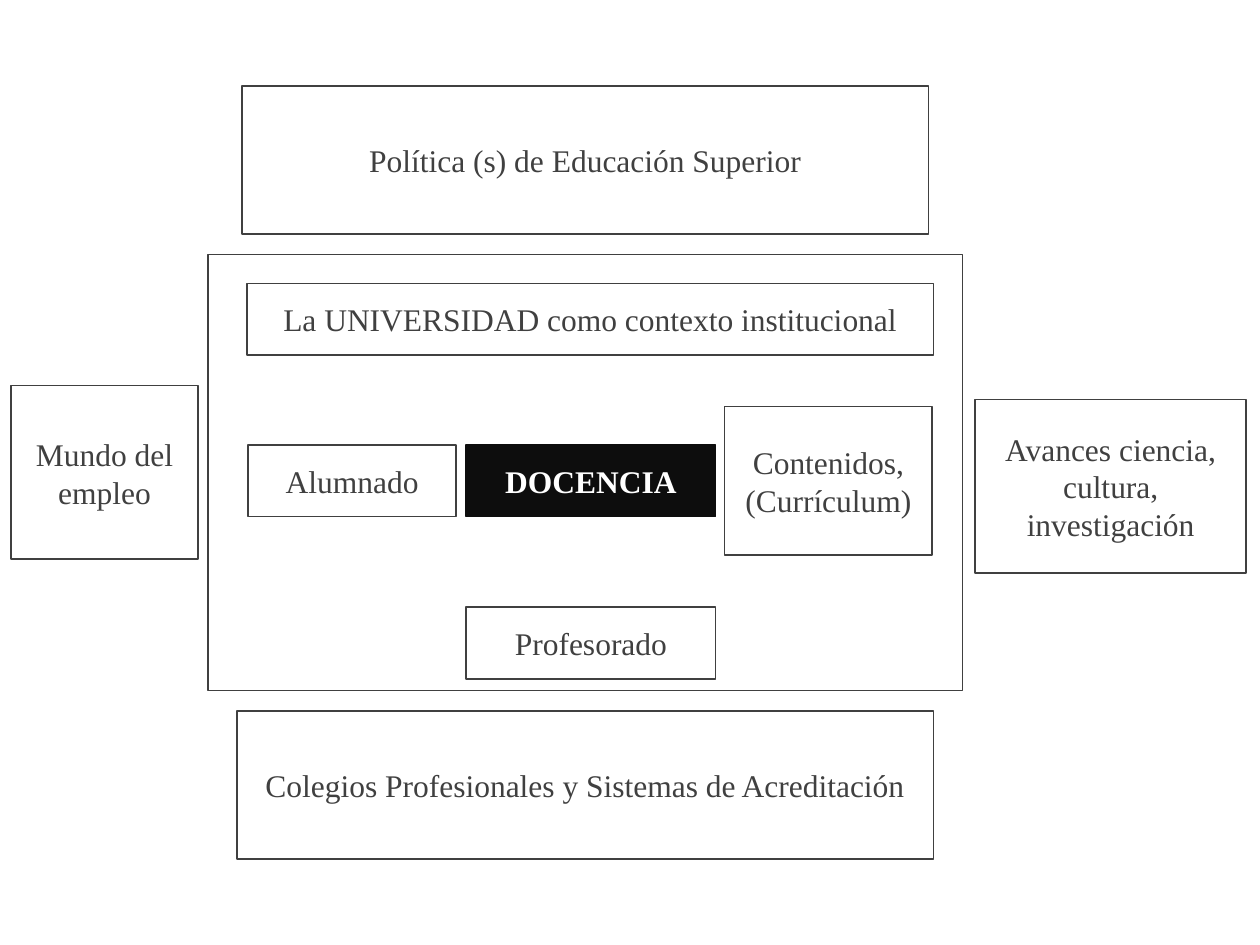
"""Builds a slide that maps the contexts surrounding university teaching."""
from dataclasses import dataclass

import pptx
import pptx.dml.color
import pptx.enum.shapes
import pptx.enum.text
import pptx.shapes.autoshape
import pptx.slide
import pptx.util

SLIDE_WIDTH, SLIDE_HEIGHT = pptx.util.Inches(10), pptx.util.Inches(7.5)
COLUMN, ROW = SLIDE_WIDTH / 100, SLIDE_HEIGHT / 75


@dataclass(frozen=True)
class Theme:
    font: str = "Times New Roman"
    text_size: float = 18
    line_width: float = 1
    ink: str = "404040"
    focus: str = "0D0D0D"
    focus_ink: str = "FFFFFF"


@dataclass(frozen=True)
class Context:
    label: str
    column: float
    row: float
    columns: float
    rows: float
    focus: bool = False


THEME = Theme()
BAND, BLOCK, SIDE = 5.7, 11.8, 13.8
CENTRE, CENTRE_WIDTH = 37, 19.8
AGENT_ROW, AGENT_WIDTH = 35.3, 16.5
HEADING_WIDTH = 54.5

CONTEXTS = (
    Context("La UNIVERSIDAD como contexto institucional", 19.6, 22.5, HEADING_WIDTH, BAND),
    Context("Profesorado", CENTRE, 48.2, CENTRE_WIDTH, BAND),
    Context("DOCENCIA", CENTRE, AGENT_ROW, CENTRE_WIDTH, BAND, focus=True),
    Context("Contenidos,\n(Currículum)", 57.5, AGENT_ROW + (BAND - BLOCK) / 2, AGENT_WIDTH, BLOCK),
    Context("Alumnado", 19.7, AGENT_ROW, AGENT_WIDTH, BAND),
    Context("Avances ciencia, cultura, investigación", 77.4, 31.7, 21.5, SIDE),
    Context("", 16.5, 20.2, 59.9, 34.6),
    Context("Política (s) de Educación Superior", 19.2, 6.8, HEADING_WIDTH, BLOCK),
    Context("Colegios Profesionales y Sistemas de Acreditación", 18.8, 56.4, 55.3, BLOCK),
    Context("Mundo del empleo", 0.9, 30.6, 14.8, SIDE),
)


def rgb(value: str) -> pptx.dml.color.RGBColor:
    """Return the colour for a hexadecimal value."""
    return pptx.dml.color.RGBColor.from_string(value)


def write_text(box: pptx.shapes.autoshape.Shape, text: str, *, color: str, bold: bool = False) -> None:
    """Write centred text in a box, one paragraph for each line."""
    frame = box.text_frame
    frame.word_wrap = True
    frame.vertical_anchor = pptx.enum.text.MSO_ANCHOR.MIDDLE
    frame.text = text
    for paragraph in frame.paragraphs:
        paragraph.alignment = pptx.enum.text.PP_ALIGN.CENTER
        for run in paragraph.runs:
            run.font.name = THEME.font
            run.font.size = pptx.util.Pt(THEME.text_size)
            run.font.bold = bold
            run.font.color.rgb = rgb(color)


def draw_context(slide: pptx.slide.Slide, context: Context) -> None:
    """Draw one context as an outlined box, or a solid one for the focus."""
    box = slide.shapes.add_shape(
        pptx.enum.shapes.MSO_SHAPE.RECTANGLE,
        round(context.column * COLUMN),
        round(context.row * ROW),
        round(context.columns * COLUMN),
        round(context.rows * ROW),
    )
    box.shadow.inherit = False
    box.line.width = pptx.util.Pt(THEME.line_width)
    box.line.color.rgb = rgb(THEME.focus if context.focus else THEME.ink)
    if context.focus:
        box.fill.solid()
        box.fill.fore_color.rgb = rgb(THEME.focus)
    else:
        box.fill.background()
    if context.label:
        ink = THEME.focus_ink if context.focus else THEME.ink
        write_text(box, context.label, color=ink, bold=context.focus)


def main() -> None:
    """Build and save the presentation."""
    deck = pptx.Presentation()
    deck.slide_width, deck.slide_height = SLIDE_WIDTH, SLIDE_HEIGHT
    slide = deck.slides.add_slide(deck.slide_layouts[6])
    for context in CONTEXTS:
        draw_context(slide, context)
    deck.save("out.pptx")


main()
